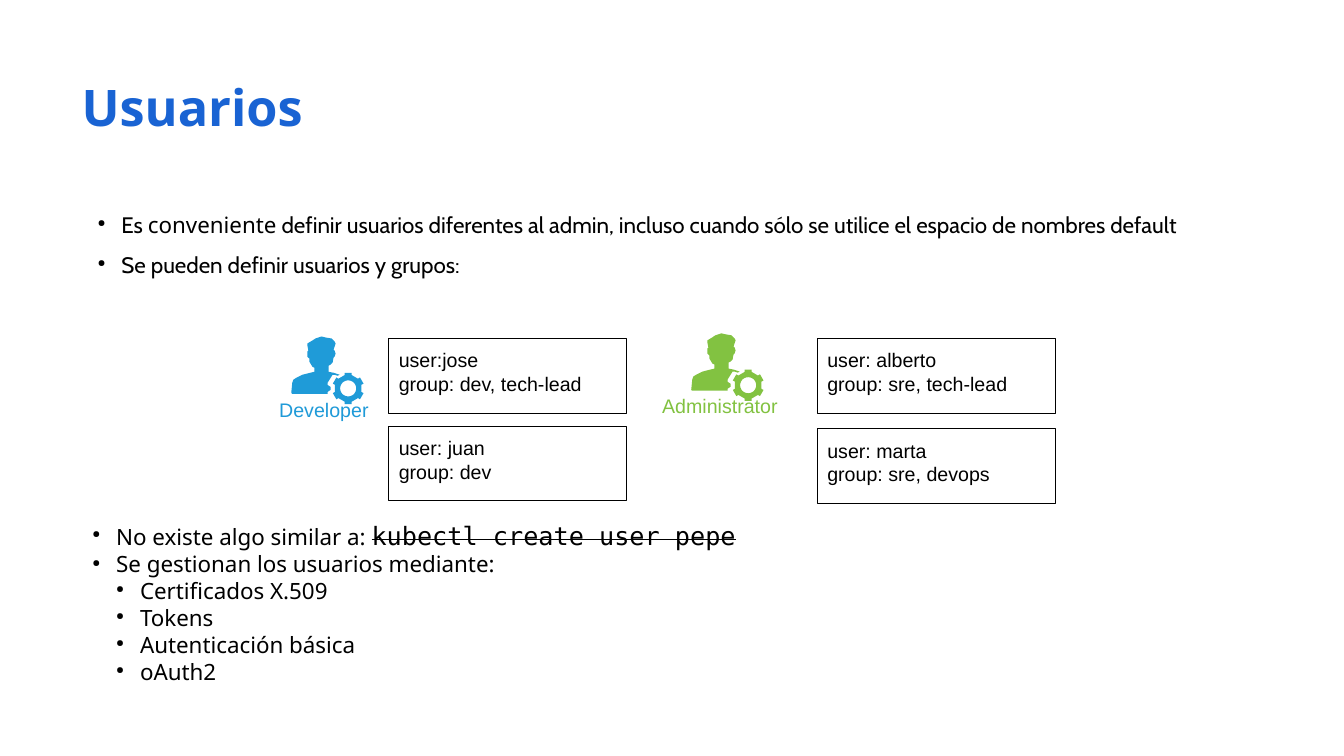
"""Build the slide on users and groups."""
from math import cos, pi, sin

from lxml.etree import SubElement
from pptx import Presentation
from pptx.dml.color import RGBColor
from pptx.enum.shapes import MSO_SHAPE
from pptx.enum.text import MSO_ANCHOR, PP_ALIGN
from pptx.oxml.ns import qn
from pptx.util import Cm, Pt

BLACK, BLUE, GREEN = "000000", "1F9BD8", "82C241"
CABIN, NOTO, MONO = "Cabin", "Noto Sans", "DejaVu Sans Mono"
MIL = Cm(2.54) / 1000
PERSON = [
    (300, 0), (240, 20), (210, 40), (160, 70), (160, 90), (170, 140), (160, 150),
    (160, 200), (180, 220), (180, 250), (210, 300), (230, 310), (230, 350),
    (190, 360), (110, 380), (50, 410), (20, 430), (10, 460), (0, 560), (10, 570),
    (360, 570), (360, 550), (390, 530), (390, 500), (360, 480), (360, 460),
    (410, 380), (430, 380), (460, 390), (480, 380), (420, 360), (370, 350),
    (370, 290), (390, 280), (410, 260), (420, 210), (430, 200), (440, 170),
    (430, 140), (420, 130), (440, 70), (430, 50), (400, 20), (340, 10),
]


def color(code):
    """Turn a hex string into a colour."""
    return RGBColor.from_string(code)


def style(run, face, size, code=BLACK, bold=False):
    """Set the font of a run."""
    font = run.font
    font.name, font.size, font.bold = face, Pt(size), bold
    font.color.rgb = color(code)


def title(slide, text):
    """Place and format the title."""
    shape = slide.shapes.title
    shape.left, shape.top = Cm(1.8), Cm(1.8)
    shape.width, shape.height = Cm(30), Cm(3.15)
    frame = shape.text_frame
    frame.text = text
    frame.vertical_anchor = MSO_ANCHOR.TOP
    para = frame.paragraphs[0]
    para.alignment = PP_ALIGN.LEFT
    style(para.runs[0], NOTO, 36, "1963D3", True)


def bullet(para, level):
    """Give a paragraph a small round bullet and a hanging indent."""
    para.level = level
    props = para._p.get_or_add_pPr()
    props.set("marL", str(Cm(0.6 * (level + 1))))
    props.set("indent", str(Cm(-0.6)))
    SubElement(SubElement(props, qn("a:buClr")), qn("a:srgbClr"), val=BLACK)
    SubElement(props, qn("a:buSzPct"), val="45000")
    SubElement(props, qn("a:buChar"), char="●")


def points(slide, box, items, align=PP_ALIGN.LEFT, space=1.0):
    """Add a bulleted list of (level, runs) items."""
    frame = slide.shapes.add_textbox(*map(Cm, box)).text_frame
    frame.word_wrap = True
    for num, (level, parts) in enumerate(items):
        para = frame.add_paragraph() if num else frame.paragraphs[0]
        bullet(para, level)
        para.alignment, para.line_spacing = align, space
        for text, face in parts:
            run = para.add_run()
            run.text = text
            style(run, face, 18 if face == MONO else 16)
            if face == MONO:
                run._r.get_or_add_rPr().set("strike", "sngStrike")


def write(shape, text, code, align):
    """Fill a shape with Arial text."""
    frame = shape.text_frame
    frame.word_wrap = True
    frame.vertical_anchor = MSO_ANCHOR.TOP
    frame.margin_top = frame.margin_bottom = Cm(0.25)
    frame.text = text
    for para in frame.paragraphs:
        para.alignment = align
        style(para.runs[0], "Arial", 14, code)


def card(slide, left, top, user, group):
    """Add an outlined box for one user."""
    shape = slide.shapes.add_shape(
        MSO_SHAPE.RECTANGLE, Cm(left), Cm(top), Cm(6), Cm(1.88))
    shape.shadow.inherit = False
    shape.fill.background()
    shape.line.color.rgb = color(BLACK)
    shape.line.width = Pt(0.75)
    write(shape, f"{user}\n{group}", BLACK, PP_ALIGN.LEFT)


def turn(x, y, angle):
    """Rotate a point and move it to the centre of the gear."""
    return (565 + x * cos(angle) - y * sin(angle),
            515 + x * sin(angle) + y * cos(angle))


def icon(slide, left, top, code):
    """Draw a person with a gear."""
    tooth = [(-35, -132), (-35, -155), (35, -155), (35, -132)]
    gear = [turn(x, y, k * pi / 3) for k in range(6) for x, y in tooth]
    hole = [turn(0, 80, -k * pi / 12) for k in range(24)]
    pen = slide.shapes.build_freeform(*PERSON[0], scale=MIL)
    pen.add_line_segments(PERSON[1:])
    for ring in (gear, hole):
        pen.move_to(*ring[0])
        pen.add_line_segments(ring[1:])
    shape = pen.convert_to_shape(Cm(left), Cm(top))
    shape.shadow.inherit = False
    shape.fill.solid()
    shape.fill.fore_color.rgb = color(code)
    shape.line.fill.background()


def label(slide, box, text, code):
    """Add the caption of an icon."""
    write(slide.shapes.add_textbox(*map(Cm, box)), text, code, PP_ALIGN.CENTER)


def main():
    """Build and save the slide."""
    deck = Presentation()
    deck.slide_width, deck.slide_height = Cm(33.87), Cm(19.05)
    slide = deck.slides.add_slide(deck.slide_layouts[5])
    title(slide, "Usuarios")
    points(slide, (2.21, 4.85, 29, 11.05), [
        (0, [("Es ", CABIN), ("conveniente", NOTO),
             (" definir usuarios diferentes al admin, incluso cuando sólo "
              "se utilice el espacio de nombres default", CABIN)]),
        (0, [("Se pueden definir usuarios y grupos:", CABIN)]),
    ], PP_ALIGN.JUSTIFY, 1.5)
    icon(slide, 7.34, 8.48, BLUE)
    label(slide, (6.73, 9.78, 2.87, 1.02), "Developer", "1F9AD8")
    icon(slide, 17.42, 8.4, GREEN)
    label(slide, (16.2, 9.68, 3.89, 1.02), "Administrator", GREEN)
    for left, top, user, group in [
        (9.8, 8.53, "user:jose", "group: dev, tech-lead"),
        (9.8, 10.74, "user: juan", "group: dev"),
        (20.6, 8.53, "user: alberto", "group: sre, tech-lead"),
        (20.6, 10.8, "user: marta", "group: sre, devops"),
    ]:
        card(slide, left, top, user, group)
    ways = ["Certificados X.509", "Tokens", "Autenticación básica", "oAuth2"]
    points(slide, (2.08, 12.98, 18.31, 4.85), [
        (0, [("No existe algo similar a: ", NOTO),
             ("kubectl create user pepe", MONO)]),
        (0, [("Se gestionan los usuarios mediante:", NOTO)]),
        *[(1, [(way, NOTO)]) for way in ways],
    ])
    deck.save("out.pptx")


if __name__ == "__main__":
    main()
